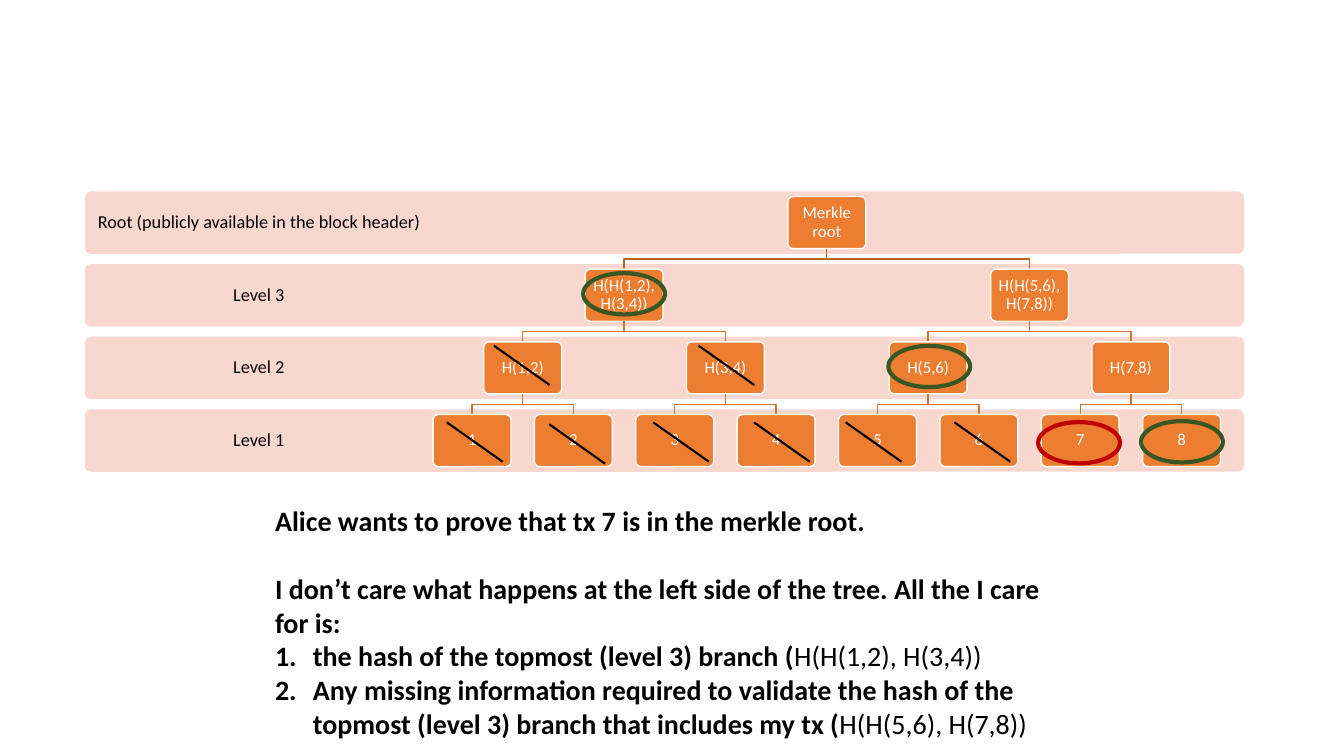
from dataclasses import dataclass

from lxml import etree
from pptx import Presentation
from pptx import util as u
from pptx.dml.color import RGBColor
from pptx.enum import shapes, text
from pptx.oxml.ns import qn

FONT = "Calibri"
BAND_LEFT, BAND_TOP, BAND_WIDTH, BAND_HEIGHT, BAND_PITCH = 60.6, 136.7, 828, 44.6, 51.9
LABEL_WIDTH = 248.4
NODE_WIDTH, NODE_HEIGHT = 55.7, 37.2
NODE_INSET = (BAND_HEIGHT - NODE_HEIGHT) / 2
LEAF_X, LEAF_PITCH = 337.2, 72.4
STRIKE_WIDTH, STRIKE_HEIGHT = 39.8, 28.1
RING_WIDTH, RING_HEIGHT = 58.4, 29.5


@dataclass
class Level:
    label: str
    nodes: list[str]
    branch_color: str = "D7712C"


@dataclass
class Mark:
    left: float
    top: float
    color: str = "000000"


@dataclass
class Statement:
    bold: str
    plain: str = ""
    numbered: bool = False
    space_before: float = 0


LEVELS = [
    Level("Root (publicly available in the block header)", ["Merkle root"], "BE6427"),
    Level("Level 3", ["H(H(1,2), H(3,4))", "H(H(5,6), H(7,8))"]),
    Level("Level 2", ["H(1,2)", "H(3,4)", "H(5,6)", "H(7,8)"]),
    Level("Level 1", [str(tx) for tx in range(1, 9)]),
]
STRIKES = [
    Mark(352.8, 246.9), Mark(499, 246.9),
    Mark(319.2, 301.7), Mark(392.4, 303.1), Mark(466.6, 301.7),
    Mark(538.6, 301.7), Mark(604.1, 301.7), Mark(681.8, 301.7),
]
RINGS = [
    Mark(741.6, 301.5, "C00000"), Mark(815.1, 300.8, "385723"),
    Mark(634.6, 247, "385723"), Mark(416.6, 195.1, "385723"),
]
STATEMENTS = [
    Statement("Alice wants to prove that tx 7 is in the merkle root."),
    Statement("I don’t care what happens at the left side of the tree. All the I care for is:",
              space_before=24.4),
    Statement("the hash of the topmost (level 3) branch (", "H(H(1,2), H(3,4))", True),
    Statement("Any missing information required to validate the hash of the topmost "
              "(level 3) branch that includes my tx (", "H(H(5,6), H(7,8))", True),
]


def rgb(color: str) -> RGBColor:
    return RGBColor.from_string(color)


def style(shape, fill: str | None, line: str | None, width: float = 1) -> None:
    shape.shadow.inherit = False
    if fill:
        shape.fill.solid()
        shape.fill.fore_color.rgb = rgb(fill)
    else:
        shape.fill.background()
    if line:
        shape.line.color.rgb = rgb(line)
        shape.line.width = u.Pt(width)
    else:
        shape.line.fill.background()


def add_box(slide, kind, left: float, top: float, width: float, height: float):
    return slide.shapes.add_shape(kind, u.Pt(left), u.Pt(top), u.Pt(width), u.Pt(height))


def write_centred(shape, words: str, size: float, color: str, inset: float) -> None:
    frame = shape.text_frame
    frame.word_wrap = True
    frame.vertical_anchor = text.MSO_ANCHOR.MIDDLE
    frame.margin_left = frame.margin_right = u.Pt(inset)
    frame.margin_top = frame.margin_bottom = u.Pt(inset)
    paragraph = frame.paragraphs[0]
    paragraph.text = words
    paragraph.alignment = text.PP_ALIGN.CENTER
    paragraph.line_spacing = 0.9
    set_font(paragraph, size, color)


def set_font(paragraph, size: float, color: str) -> None:
    paragraph.font.name = FONT
    paragraph.font.size = u.Pt(size)
    paragraph.font.color.rgb = rgb(color)


def band_top(depth: int) -> float:
    return BAND_TOP + depth * BAND_PITCH


def node_x(depth: int, index: int) -> float:
    leaves_below = 2 ** (len(LEVELS) - 1 - depth)
    return LEAF_X + LEAF_PITCH * (index * leaves_below + (leaves_below - 1) / 2)


def add_band(slide, depth: int, level: Level) -> None:
    top = band_top(depth)
    band = add_box(slide, shapes.MSO_SHAPE.ROUNDED_RECTANGLE,
                   BAND_LEFT, top, BAND_WIDTH, BAND_HEIGHT)
    band.adjustments[0] = 0.1
    style(band, "F8D7CE", None)
    label = slide.shapes.add_textbox(u.Pt(BAND_LEFT), u.Pt(top),
                                     u.Pt(LABEL_WIDTH), u.Pt(BAND_HEIGHT))
    write_centred(label, level.label, 13, "000000", 7.2)


def add_branch(slide, depth: int, index: int) -> None:
    parent_x, child_x = node_x(depth - 1, index // 2), node_x(depth, index)
    start = band_top(depth - 1) + NODE_INSET + NODE_HEIGHT
    end = band_top(depth) + NODE_INSET
    middle = (start + end) / 2
    corners = [(parent_x, middle), (child_x, middle), (child_x, end)]
    outline = slide.shapes.build_freeform(u.Pt(parent_x), u.Pt(start))
    outline.add_line_segments([(u.Pt(x), u.Pt(y)) for x, y in corners], close=False)
    style(outline.convert_to_shape(), None, LEVELS[depth - 1].branch_color)


def add_node(slide, depth: int, index: int, words: str) -> None:
    node = add_box(slide, shapes.MSO_SHAPE.ROUNDED_RECTANGLE,
                   node_x(depth, index) - NODE_WIDTH / 2, band_top(depth) + NODE_INSET,
                   NODE_WIDTH, NODE_HEIGHT)
    node.adjustments[0] = 0.1
    style(node, "ED7D31", "FFFFFF")
    write_centred(node, words, 12, "FFFFFF", 4.7)


def add_statements(slide) -> None:
    proof = slide.shapes.add_textbox(u.Pt(189.4), u.Pt(356.4), u.Pt(571), u.Pt(200.9))
    frame = proof.text_frame
    frame.word_wrap = True
    for position, statement in enumerate(STATEMENTS):
        paragraph = frame.add_paragraph() if position else frame.paragraphs[0]
        set_font(paragraph, 20, "000000")
        paragraph.space_before = u.Pt(statement.space_before)
        for words, bold in ((statement.bold, True), (statement.plain, False)):
            if words:
                run = paragraph.add_run()
                run.text = words
                run.font.bold = bold
        if statement.numbered:
            properties = paragraph.font._element.getparent()
            properties.set("marL", str(u.Pt(27)))
            properties.set("indent", str(-u.Pt(27)))
            number = etree.Element(qn("a:buAutoNum"), type="arabicPeriod")
            paragraph.font._element.addprevious(number)


def add_strike(slide, mark: Mark) -> None:
    strike = slide.shapes.add_connector(
        shapes.MSO_CONNECTOR.STRAIGHT, u.Pt(mark.left), u.Pt(mark.top),
        u.Pt(mark.left + STRIKE_WIDTH), u.Pt(mark.top + STRIKE_HEIGHT))
    strike.line.color.rgb = rgb(mark.color)
    strike.line.width = u.Pt(1.5)
    etree.SubElement(strike._element.spPr, qn("a:effectLst"))


def add_ring(slide, mark: Mark) -> None:
    ring = add_box(slide, shapes.MSO_SHAPE.OVAL, mark.left, mark.top, RING_WIDTH, RING_HEIGHT)
    style(ring, None, mark.color, 3)


def main() -> None:
    deck = Presentation()
    deck.slide_width, deck.slide_height = u.Pt(960), u.Pt(540)
    slide = deck.slides.add_slide(deck.slide_layouts[6])

    # Level bands
    for depth, level in enumerate(LEVELS):
        add_band(slide, depth, level)

    # Merkle tree
    for depth, level in enumerate(LEVELS):
        for index, words in enumerate(level.nodes):
            if depth:
                add_branch(slide, depth, index)
            add_node(slide, depth, index, words)

    # Proof explanation
    add_statements(slide)

    # Discarded nodes and nodes needed for the proof
    for mark in STRIKES:
        add_strike(slide, mark)
    for mark in RINGS:
        add_ring(slide, mark)

    deck.save("out.pptx")


if __name__ == "__main__":
    main()
